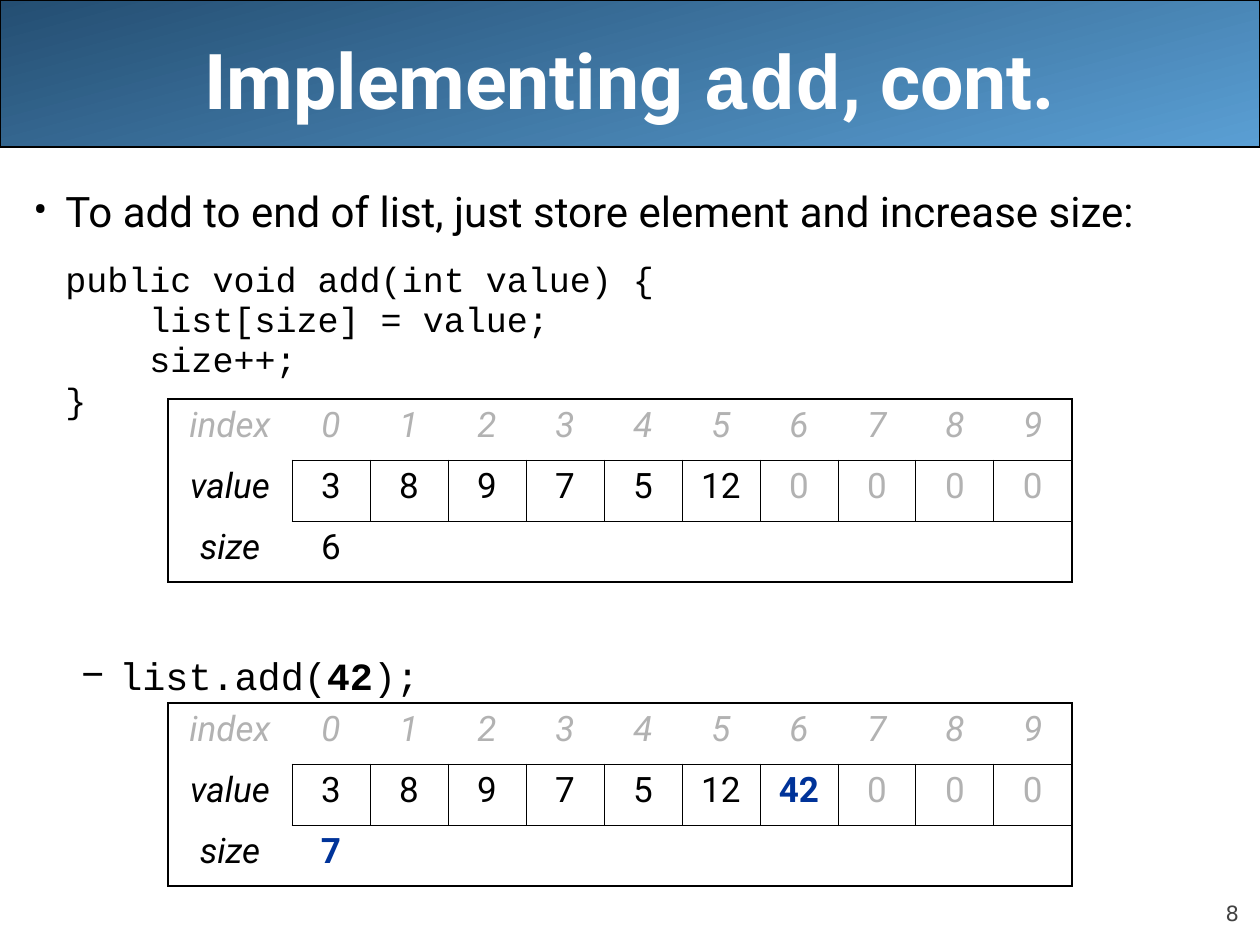
"""Build a slide on adding to the end of an array list, with two array tables."""
from lxml import etree
from pptx import Presentation
from pptx import util as u
from pptx.dml import color
from pptx.enum import shapes, text
from pptx.oxml import ns

PX = 914400 / 126
SANS, MONO = "Roboto", "Courier New"
BLACK, GREY, BLUE, WHITE = "000000", "B2B2B2", "003399", "FFFFFF"


def hue(code):
    return color.RGBColor.from_string(code)


def write(par, words, size=20, font=SANS, ink=BLACK, bold=False, italic=False):
    run = par.add_run()
    run.text = words
    run.font.size = u.Pt(size)
    run.font.name = font
    run.font.color.rgb = hue(ink)
    run.font.bold = bold
    run.font.italic = italic


prs = Presentation()
prs.slide_width, prs.slide_height = int(1260 * PX), int(945 * PX)
slide = prs.slides.add_slide(prs.slide_layouts[5])
items = slide.shapes

band = items.add_shape(shapes.MSO_SHAPE.ROUNDED_RECTANGLE, 0, 0, int(1260 * PX), int(147 * PX))
band.adjustments[0] = 0
band.shadow.inherit = False
band.fill.gradient()
band.fill.gradient_angle = 285
for stop, shade in zip(band.fill.gradient_stops, ("244E72", "5A9FD4")):
    stop.color.rgb = hue(shade)
band.line.color.rgb = hue(BLACK)
band.line.width = u.Pt(0.75)
items.element.insert(2, band.element)

title = items.title
title.left, title.top = int(63 * PX), 0
title.width, title.height = int(1134 * PX), int(158 * PX)
frame = title.text_frame
frame.auto_size = text.MSO_AUTO_SIZE.NONE
frame.vertical_anchor = text.MSO_ANCHOR.MIDDLE
par = frame.paragraphs[0]
par.alignment = text.PP_ALIGN.CENTER
for words, font in (("Implementing ", SANS), ("add", MONO), (", cont.", SANS)):
    write(par, words, size=44, font=font, ink=WHITE, bold=True)

body = items.add_textbox(int(21 * PX), int(179 * PX), int(1239 * PX), int(714 * PX))
frame = body.text_frame
frame.word_wrap = True
code = ("public void add(int value) {", "    list[size] = value;", "    size++;", "}")
lines = [("•", 32, 32, None, 1, [("To add to end of list, just store element and increase size:", 24, SANS, False)])]
for i, words in enumerate(code):
    lines.append((None, 32, 0, 6.2 if i else 19, 0.7, [(words, 20, MONO, False)]))
call = [("list.add(", 22, MONO, False), ("42", 22, MONO, True), (");", 22, MONO, False)]
lines.append(("–", 86, 39, 133, 1, call))
for i, (mark, left, hang, gap, pitch, runs) in enumerate(lines):
    par = frame.add_paragraph() if i else frame.paragraphs[0]
    props = par._p.get_or_add_pPr()
    props.set("marL", str(int(left * PX)))
    props.set("indent", str(int(-hang * PX)))
    if mark:
        etree.SubElement(props, ns.qn("a:buFont"), typeface=SANS)
        etree.SubElement(props, ns.qn("a:buChar"), char=mark)
    par.line_spacing = pitch
    if gap:
        par.space_before = u.Pt(gap)
    for words, size, font, bold in runs:
        write(par, words, size=size, font=font, bold=bold)

array = ["3", "8", "9", "7", "5", "12"]
for top, vals, count, fresh in ((399, array, "6", False), (703, array + ["42"], "7", True)):
    grid = items.add_table(3, 11, int(168 * PX), int(top * PX), int(904 * PX), int(183 * PX)).table
    grid.first_row = grid.horz_banding = False
    for c, col in enumerate(grid.columns):
        col.width = int((78 if c else 124) * PX)
    rows = (
        ["index"] + [str(n) for n in range(10)],
        ["value"] + vals + ["0"] * (10 - len(vals)),
        ["size", count] + [""] * 9,
    )
    for r, row in enumerate(rows):
        grid.rows[r].height = int(61 * PX)
        for c, words in enumerate(row):
            cell = grid.cell(r, c)
            props = cell._tc.get_or_add_tcPr()
            up = [1.08 if c + d in (0, 11) else 0.45 * (r == 1) for d in (0, 1)]
            flat = [1.08 if r + d in (0, 3) else 0.45 * (c > 0) for d in (0, 1)]
            for side, wide in zip("LRTB", up + flat):
                edge = etree.SubElement(props, ns.qn("a:ln" + side), w=str(u.Pt(wide)))
                if wide:
                    fill = etree.SubElement(edge, ns.qn("a:solidFill"))
                    etree.SubElement(fill, ns.qn("a:srgbClr"), val=BLACK)
                else:
                    etree.SubElement(edge, ns.qn("a:noFill"))
            cell.fill.background()
            if words:
                new = fresh and (r, c) in ((1, len(vals)), (2, 1))
                dim = r == 0 or (r == 1 and c > len(vals))
                par = cell.text_frame.paragraphs[0]
                par.alignment = text.PP_ALIGN.CENTER
                ink = BLUE if new else GREY if dim else BLACK
                write(par, words, ink=ink, bold=new, italic=r == 0 or c == 0)

page = items.add_textbox(int(1134 * PX), int(876 * PX), int(105 * PX), int(50 * PX))
frame = page.text_frame
frame.word_wrap = True
frame.margin_left = frame.margin_right = frame.margin_top = frame.margin_bottom = 0
frame.vertical_anchor = text.MSO_ANCHOR.BOTTOM
par = frame.paragraphs[0]
par.alignment = text.PP_ALIGN.RIGHT
write(par, "8", size=12, font="DejaVu Sans", ink="424242")

prs.save("out.pptx")
